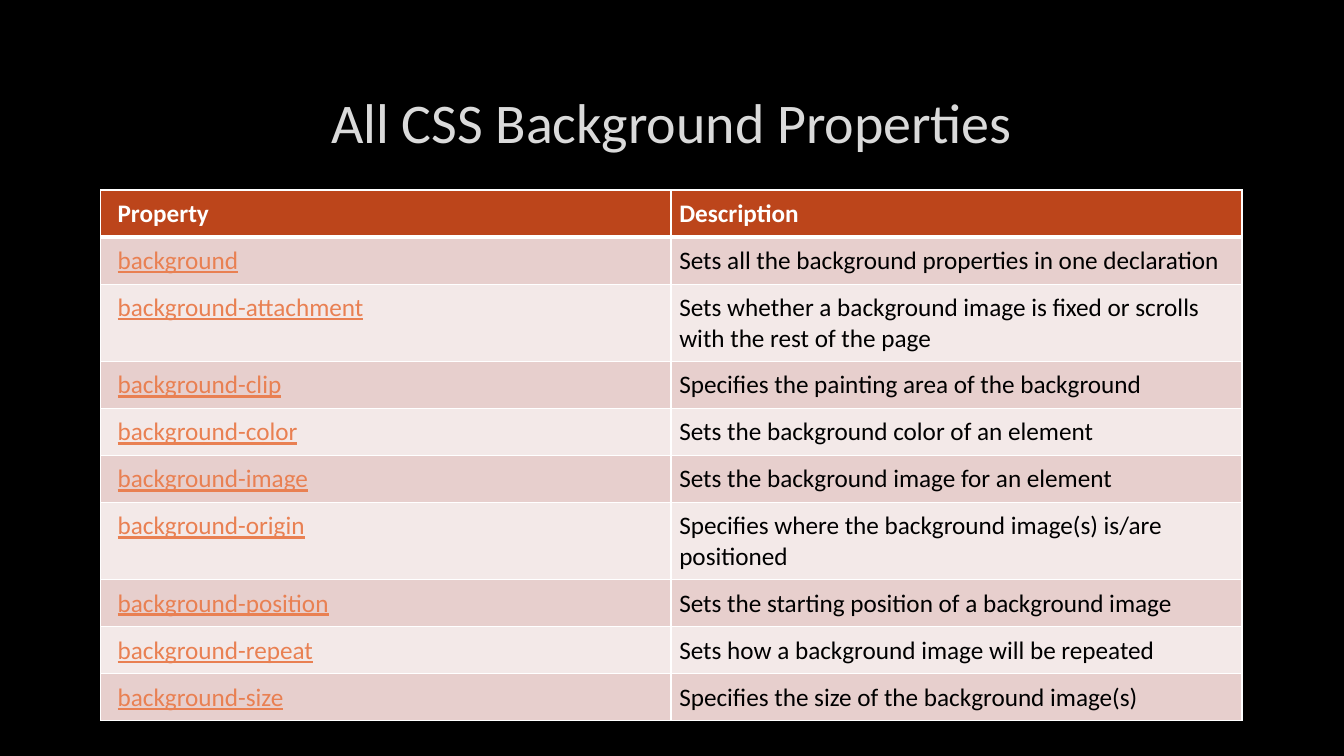
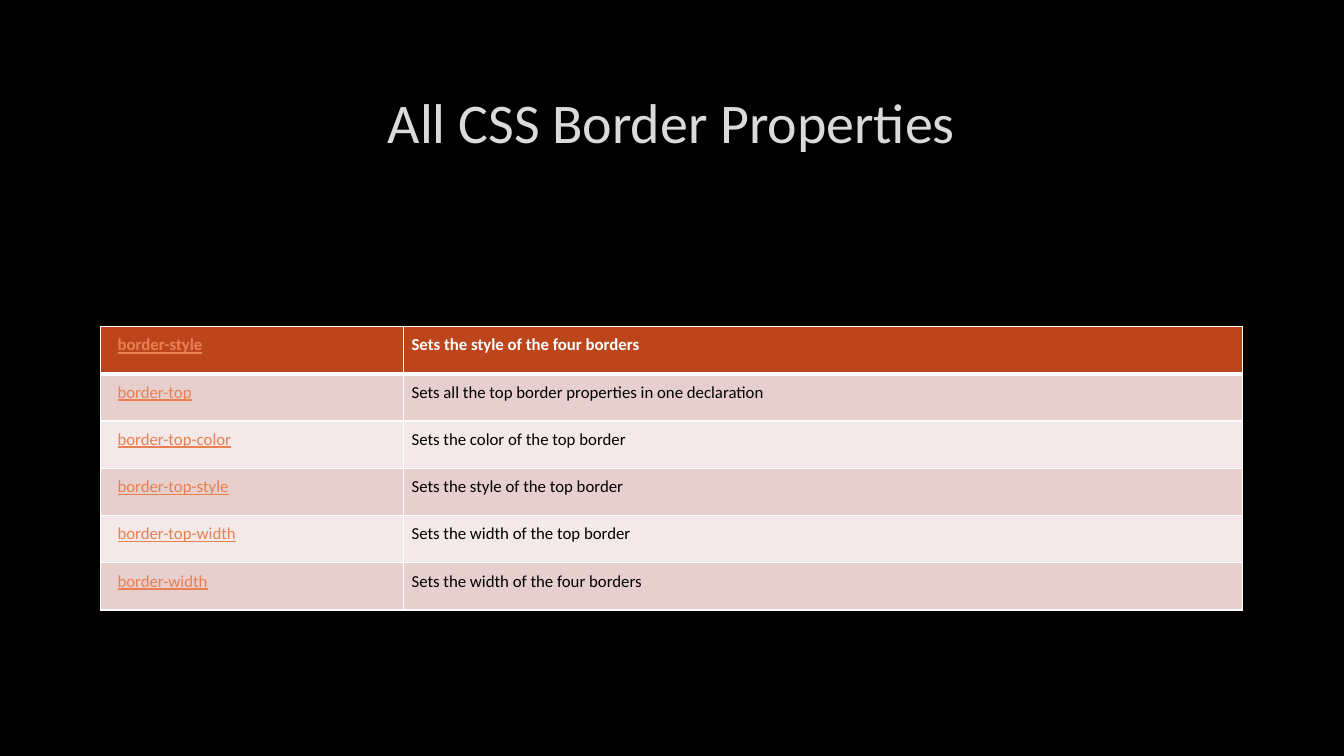
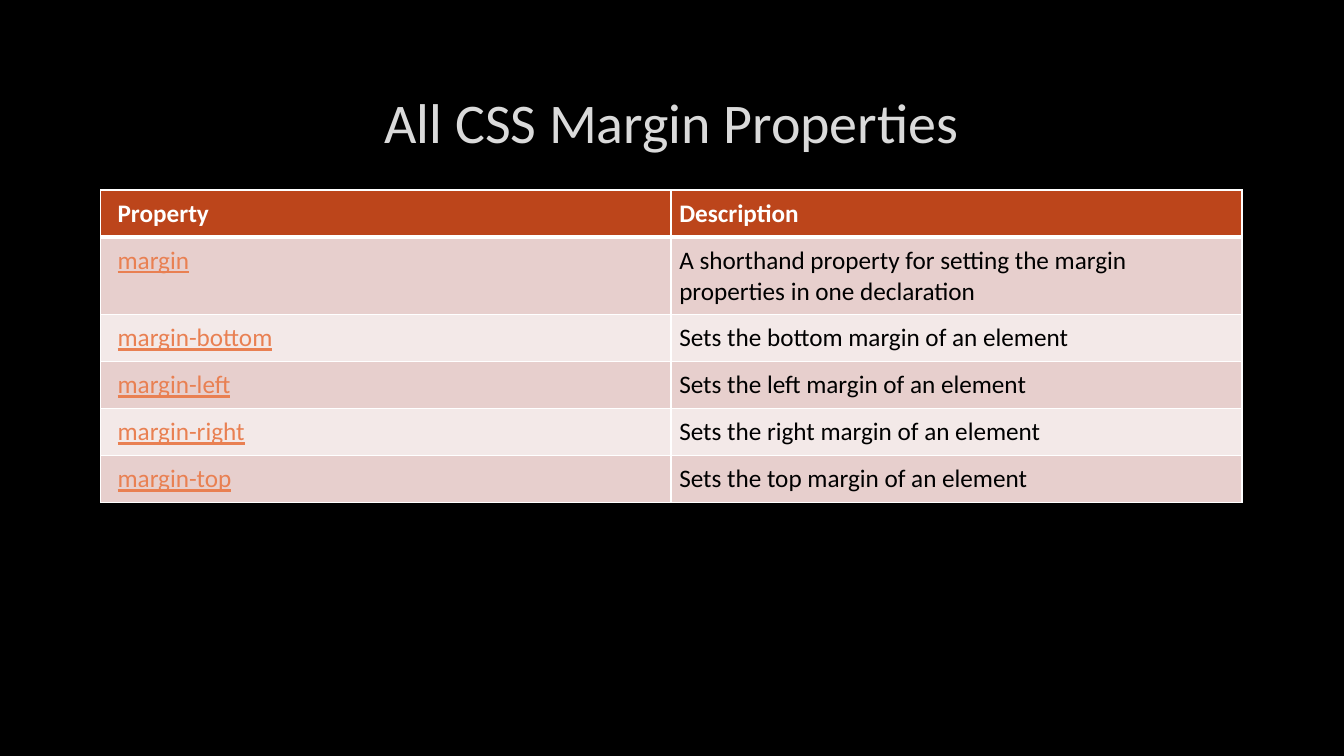
from dataclasses import dataclass

from lxml.etree import SubElement
from pptx import Presentation
from pptx.dml.color import RGBColor
from pptx.enum.text import MSO_ANCHOR as Anchor, PP_ALIGN as Align
from pptx.oxml.ns import qn
from pptx.util import Pt

EMU_PER_PX = 9525
BLANK_LAYOUT = 6


@dataclass(frozen=True)
class Theme:
    font: str = "Calibri"
    background: str = "000000"
    title: str = "DADADA"
    title_outline: str = "404040"
    header_fill: str = "BC451B"
    header_text: str = "FFFFFF"
    band_fills: tuple = ("E7CFCD", "F3E9E8")
    body_text: str = "000000"
    link: str = "E98052"
    border: str = "FFFFFF"
    title_size: int = 40
    table_size: int = 18
    small_table_size: int = 12
    border_width: int = 1
    header_rule_width: int = 3


THEME = Theme()


def px(length):
    return length * EMU_PER_PX


def add_line(parent, tag, color, width, alpha=None):
    """Add a solid line element; alpha is a percentage."""
    line = SubElement(parent, qn(tag), w=str(Pt(width)))
    fill = SubElement(line, qn("a:solidFill"))
    line_color = SubElement(fill, qn("a:srgbClr"), val=color)
    if alpha is not None:
        SubElement(line_color, qn("a:alpha"), val=str(alpha * 1000))
    return line


class Deck:
    """Holds the presentation, its style and the current slide."""

    left, width = 96, 1087
    title_top, title_height = 64, 102
    cell_margin, first_column_margin = 8, 16

    def __init__(self, theme):
        self.theme = theme
        self.presentation = Presentation()
        self.presentation.slide_width = px(1280)
        self.presentation.slide_height = px(720)
        self.slide = None

    def add_slide(self, title):
        layout = self.presentation.slide_layouts[BLANK_LAYOUT]
        self.slide = self.presentation.slides.add_slide(layout)
        fill = self.slide.background.fill
        fill.solid()
        fill.fore_color.rgb = RGBColor.from_string(self.theme.background)
        self.add_title(title)

    def add_run(self, paragraph, text, size, color, bold=False, underline=False):
        run = paragraph.add_run()
        run.text = text
        font = run.font
        font.name, font.size = self.theme.font, Pt(size)
        font.bold, font.underline = bold, underline
        font.color.rgb = RGBColor.from_string(color)
        return run

    def add_title(self, text):
        theme = self.theme
        shape = self.slide.shapes.add_textbox(
            px(self.left), px(self.title_top), px(self.width), px(self.title_height))
        frame = shape.text_frame
        frame.word_wrap = True
        frame.vertical_anchor = Anchor.MIDDLE
        paragraph = frame.paragraphs[0]
        paragraph.alignment = Align.CENTER
        run = self.add_run(paragraph, text, theme.title_size, theme.title)
        # The outline has to come before the fill in the run properties
        properties = run.font._element
        outline = add_line(properties, "a:ln", theme.title_outline, 0.75, alpha=10)
        properties.insert(0, outline)

    def add_table(self, rows, top, first_column, row_height, size):
        """Add a two-column table; names other than "Property" look like links."""
        theme = self.theme
        frame = self.slide.shapes.add_table(
            len(rows), 2, px(self.left), px(top),
            px(self.width), px(row_height * len(rows)))
        table = frame.table
        table.horz_banding = False
        for column, width in zip(table.columns, (first_column, self.width - first_column)):
            column.width = px(width)
        for row_index, texts in enumerate(rows):
            table.rows[row_index].height = px(row_height)
            is_header = row_index == 0
            for column_index, text in enumerate(texts):
                cell = table.cell(row_index, column_index)
                is_link = column_index == 0 and text != "Property"
                color = theme.header_text if is_header else theme.body_text
                self.add_run(cell.text_frame.paragraphs[0], text, size,
                             theme.link if is_link else color, is_header, is_link)
                self.style_cell(cell, row_index, column_index)

    def style_cell(self, cell, row_index, column_index):
        theme = self.theme
        margin = px(self.cell_margin)
        cell.margin_top = cell.margin_right = cell.margin_bottom = margin
        cell.margin_left = margin if column_index else px(self.first_column_margin)
        # Borders come before the fill; the header rule is the heavy one
        heavy_side = {0: "B", 1: "T"}.get(row_index)
        properties = cell._tc.get_or_add_tcPr()
        for side in "LRTB":
            width = theme.header_rule_width if side == heavy_side else theme.border_width
            add_line(properties, f"a:ln{side}", theme.border, width)
        fill = theme.band_fills[(row_index - 1) % 2] if row_index else theme.header_fill
        cell.fill.solid()
        cell.fill.fore_color.rgb = RGBColor.from_string(fill)


HEADER = ("Property", "Description")

BACKGROUND_ROWS = [
    HEADER,
    ("background", "Sets all the background properties in one declaration"),
    ("background-attachment",
     "Sets whether a background image is fixed or scrolls with the rest of the page"),
    ("background-clip", "Specifies the painting area of the background"),
    ("background-color", "Sets the background color of an element"),
    ("background-image", "Sets the background image for an element"),
    ("background-origin", "Specifies where the background image(s) is/are positioned"),
    ("background-position", "Sets the starting position of a background image"),
    ("background-repeat", "Sets how a background image will be repeated"),
    ("background-size", "Specifies the size of the background image(s)"),
]

BORDER_ROWS = [
    ("border-style", "Sets the style of the four borders"),
    ("border-top", "Sets all the top border properties in one declaration"),
    ("border-top-color", "Sets the color of the top border"),
    ("border-top-style", "Sets the style of the top border"),
    ("border-top-width", "Sets the width of the top border"),
    ("border-width", "Sets the width of the four borders"),
]

MARGIN_ROWS = [
    HEADER,
    ("margin", "A shorthand property for setting the margin properties in one declaration"),
    *((f"margin-{side}", f"Sets the {side} margin of an element")
      for side in ("bottom", "left", "right", "top")),
]


def main():
    deck = Deck(THEME)
    full_size = dict(top=181, first_column=543, row_height=39, size=THEME.table_size)

    # Background properties
    deck.add_slide("All CSS Background Properties")
    deck.add_table(BACKGROUND_ROWS, **full_size)

    # Border properties
    deck.add_slide("All CSS Border Properties")
    deck.add_table(BORDER_ROWS, top=311, first_column=288, row_height=45,
                   size=THEME.small_table_size)

    # Margin properties
    deck.add_slide("All CSS Margin Properties")
    deck.add_table(MARGIN_ROWS, **full_size)

    deck.presentation.save("out.pptx")


if __name__ == "__main__":
    main()
